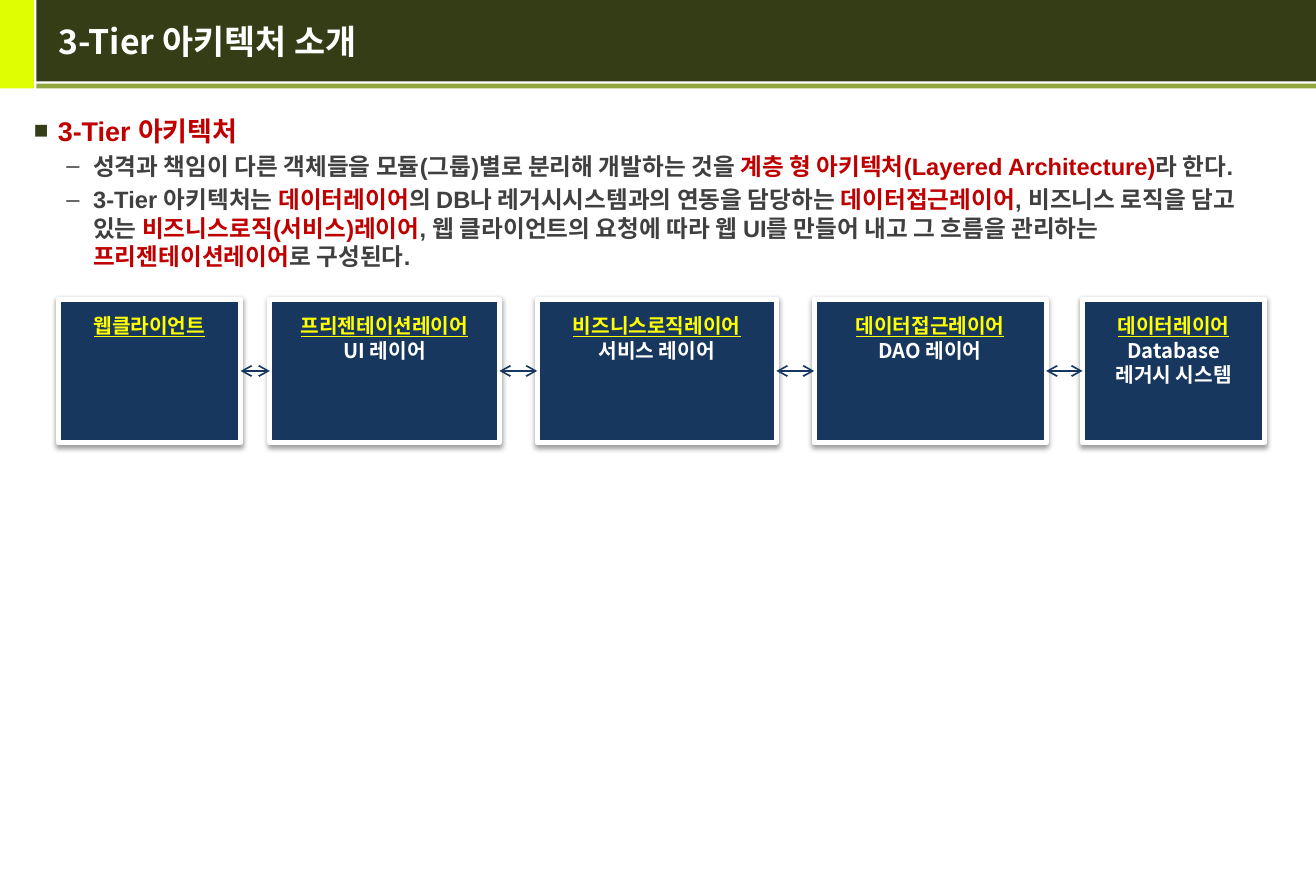
from lxml import etree
from pptx import Presentation
from pptx import util as u
from pptx.dml.color import RGBColor
from pptx.enum import shapes, text
from pptx.oxml.ns import qn

# Content
TITLE = "3-Tier 아키텍처 소개"
# Each paragraph: level, then (wording, colour) runs
BODY = [
    ("heading", [("3-Tier 아키텍처", "accent")]),
    ("item", [
        ("성격과 책임이 다른 객체들을 모듈(그룹)별로 분리해 개발하는 것을 ", "body"),
        ("계층 형 아키텍처(Layered Architecture)", "accent"),
        ("라 한다.", "body"),
    ]),
    ("item", [
        ("3-Tier 아키텍처는 ", "body"),
        ("데이터레이어", "accent"),
        ("의 DB나 레거시시스템과의 연동을 담당하는 ", "body"),
        ("데이터접근레이어", "accent"),
        (", 비즈니스 로직을 담고 있는 ", "body"),
        ("비즈니스로직(서비스)레이어", "accent"),
        (", 웹 클라이언트의 요청에 따라 웹 UI를 만들어 내고 그 흐름을 관리하는 ", "body"),
        ("프리젠테이션레이어", "accent"),
        ("로 구성된다.", "body"),
    ]),
]
# Each tier: left and width in cm, name, details
TIERS = [
    (1.22, 3.81, "웹클라이언트", []),
    (5.64, 4.80, "프리젠테이션레이어", ["UI 레이어"]),
    (11.23, 5.00, "비즈니스로직레이어", ["서비스 레이어"]),
    (17.02, 4.85, "데이터접근레이어", ["DAO 레이어"]),
    (22.63, 3.81, "데이터레이어", ["Database", "레거시 시스템"]),
]
TIER_TOP, TIER_HEIGHT = 6.25, 3.0
# Header bars: left, top, width, height in cm, colour
BARS = [
    (0, 0, 0.71, 1.85, "lime"),
    (0.76, 0, 26.75, 1.7, "olive"),
    (0.76, 1.75, 26.75, 0.1, "moss"),
]

# Theme
THEME = {
    "colours": {
        "lime": "DEFF02", "olive": "353D17", "moss": "93A73F", "navy": "17375E",
        "white": "FFFFFF", "yellow": "FFFF00", "accent": "C00000",
        "body": "404040", "shadow": "000000",
    },
    "sizes": {"title": 20, "heading": 16, "item": 14, "tier": 12},
    "latin": "Arial",
    "korean": "Noto Sans CJK KR",
    "leading": 1.208,
}
# Left margin and hanging indent in cm, space before in points
LEVELS = {
    "heading": {"margin": 0.5, "hang": 0.5, "before": 0,
                "bullet": "■", "bullet_colour": "olive", "bullet_size": 90},
    "item": {"margin": 1.24, "hang": 0.56, "before": 2.8,
             "bullet": "–", "bullet_colour": "body", "bullet_size": 100},
}


def colour(name):
    return RGBColor.from_string(THEME["colours"][name])


def apply(target, values):
    for name, value in values.items():
        setattr(target, name, value)


def add_child(parent, tag, **attributes):
    return etree.SubElement(parent, qn(tag), attributes)


def add_run(paragraph, wording, size, colour_name, latin, underline=False):
    run = paragraph.add_run()
    run.text = wording
    apply(run.font, {"size": u.Pt(THEME["sizes"][size]), "name": latin,
                     "bold": True, "underline": underline})
    run.font.color.rgb = colour(colour_name)
    add_child(run.font._element, "a:ea", typeface=THEME["korean"])


def set_leading(paragraph, size):
    paragraph.line_spacing = u.Pt(round(THEME["sizes"][size] * THEME["leading"], 1))


def paragraphs_of(frame, count):
    return [frame.paragraphs[0]] + [frame.add_paragraph() for _ in range(count - 1)]


def add_rectangle(slide, left, top, width, height, fill):
    shape = slide.shapes.add_shape(shapes.MSO_SHAPE.RECTANGLE, u.Cm(left), u.Cm(top),
                                   u.Cm(width), u.Cm(height))
    shape.shadow.inherit = False
    shape.fill.solid()
    shape.fill.fore_color.rgb = colour(fill)
    shape.line.fill.background()
    return shape


def add_text_box(slide, left, top, width, height, anchor):
    box = slide.shapes.add_textbox(u.Cm(left), u.Cm(top), u.Cm(width), u.Cm(height))
    apply(box.text_frame, {"word_wrap": True, "vertical_anchor": anchor})
    return box.text_frame


def set_bullet(paragraph, level):
    properties = paragraph._p.get_or_add_pPr()
    properties.set("marL", str(u.Cm(level["margin"])))
    properties.set("indent", str(-u.Cm(level["hang"])))
    bullet_colour = add_child(properties, "a:buClr")
    add_child(bullet_colour, "a:srgbClr", val=THEME["colours"][level["bullet_colour"]])
    add_child(properties, "a:buSzPct", val=str(level["bullet_size"] * 1000))
    add_child(properties, "a:buFont", typeface=THEME["latin"])
    add_child(properties, "a:buChar", char=level["bullet"])


def add_tier(slide, left, width, name, details):
    tier = add_rectangle(slide, left, TIER_TOP, width, TIER_HEIGHT, "navy")
    tier.line.color.rgb = colour("white")
    tier.line.width = u.Pt(3)
    effects = tier._element.spPr.find(qn("a:effectLst"))
    shadow = add_child(effects, "a:outerShdw", blurRad=str(u.Pt(3.1)),
                       dist=str(u.Pt(1.6)), dir="5400000", rotWithShape="0")
    shade = add_child(shadow, "a:srgbClr", val=THEME["colours"]["shadow"])
    add_child(shade, "a:alpha", val="38000")

    frame = tier.text_frame
    apply(frame, {"word_wrap": True, "vertical_anchor": text.MSO_ANCHOR.TOP,
                  "margin_top": u.Cm(0.3)})
    lines = [name] + details
    for index, paragraph in enumerate(paragraphs_of(frame, len(lines))):
        paragraph.alignment = text.PP_ALIGN.CENTER
        set_leading(paragraph, "tier")
        is_name = index == 0
        add_run(paragraph, lines[index], "tier", "yellow" if is_name else "white",
                THEME["korean"], underline=is_name)
    return tier


def add_link(slide, first, second):
    link = slide.shapes.add_connector(shapes.MSO_CONNECTOR.STRAIGHT, 0, 0, 0, 0)
    link.begin_connect(first, 3)
    link.end_connect(second, 1)
    link.line.color.rgb = colour("navy")
    link.line.width = u.Pt(1)
    outline = link.line._get_or_add_ln()
    for end in ("a:headEnd", "a:tailEnd"):
        add_child(outline, end, type="arrow")
    add_child(link._element.spPr, "a:effectLst")


def main():
    presentation = Presentation()
    apply(presentation, {"slide_width": u.Cm(27.51), "slide_height": u.Cm(18.49)})
    slide = presentation.slides.add_slide(presentation.slide_layouts[6])

    # Header
    for bar in BARS:
        add_rectangle(slide, *bar)
    title = add_text_box(slide, 0.97, 0, 26.21, 1.73, text.MSO_ANCHOR.MIDDLE)
    add_run(title.paragraphs[0], TITLE, "title", "white", THEME["korean"])

    # Explanation
    body = add_text_box(slide, 0.46, 2.26, 26.59, 15.8, text.MSO_ANCHOR.TOP)
    for paragraph, (level, runs) in zip(paragraphs_of(body, len(BODY)), BODY):
        set_leading(paragraph, level)
        paragraph.space_before = u.Pt(LEVELS[level]["before"])
        set_bullet(paragraph, LEVELS[level])
        for wording, colour_name in runs:
            add_run(paragraph, wording, level, colour_name, THEME["latin"])

    # Tiers and the links between neighbours
    tiers = [add_tier(slide, *tier) for tier in TIERS]
    for first, second in zip(tiers, tiers[1:]):
        add_link(slide, first, second)

    presentation.save("out.pptx")


if __name__ == "__main__":
    main()
